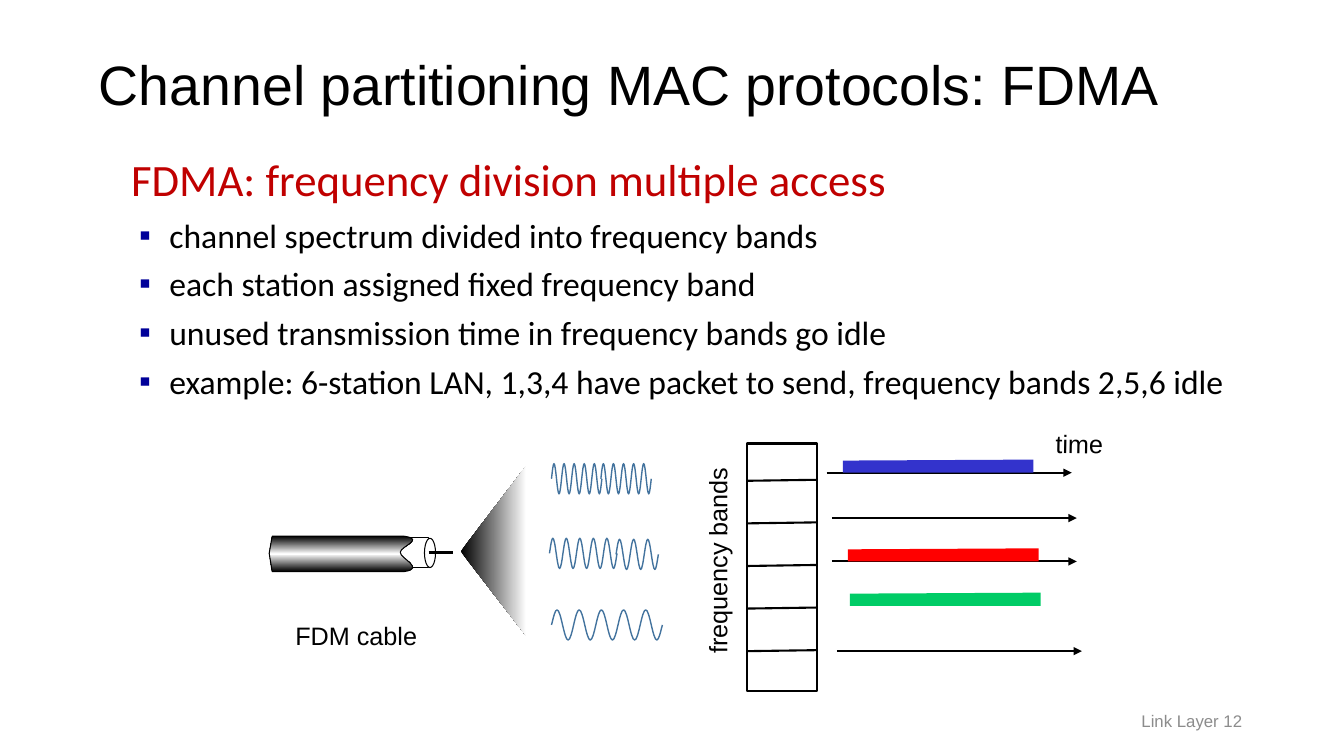
from copy import deepcopy

from lxml import etree
from pptx import Presentation
from pptx import util as u
from pptx.dml.color import RGBColor
from pptx.enum import shapes, text
from pptx.oxml.ns import qn

BLACK, WHITE, WAVE_BLUE, BULLET_BLUE = "000000", "FFFFFF", "43739E", "000099"
POINTS = [
    "channel spectrum divided into frequency bands",
    "each station assigned fixed frequency band",
    "unused transmission time in frequency bands go idle",
    "example: 6-station LAN, 1,3,4 have packet to send, frequency bands 2,5,6 idle",
]


def color(hex_string):
    """Turn a hex string into a colour."""
    return RGBColor.from_string(hex_string)


def place(shape, left, top, width, height):
    """Move and size a shape, in inches."""
    shape.left, shape.top = u.Inches(left), u.Inches(top)
    shape.width, shape.height = u.Inches(width), u.Inches(height)


def write(paragraph, words, size=18, font="Arial", ink=BLACK, align="LEFT", spacing=1.0, before=0):
    """Put formatted text into a paragraph."""
    run = paragraph.add_run()
    run.text = words
    run.font.size, run.font.name = u.Pt(size), font
    run.font.color.rgb = color(ink)
    paragraph.alignment = getattr(text.PP_ALIGN, align)
    paragraph.line_spacing = spacing
    paragraph.space_before = u.Pt(before)


def label(slide, box, words, wrap=False, anchor="TOP", rotation=0, **style):
    """Add a text box."""
    caption = slide.shapes.add_textbox(*map(u.Inches, box))
    caption.rotation = rotation
    frame = caption.text_frame
    frame.word_wrap = wrap
    frame.vertical_anchor = getattr(text.MSO_ANCHOR, anchor)
    write(frame.paragraphs[0], words, **style)


def paint(shape, fill=None, line=None, width=0.75):
    """Set the fill and outline; a list of colours makes a gradient."""
    shape.shadow.inherit = False
    if isinstance(fill, list):
        shape.fill.gradient()
        stops = shape.fill._fill._gradFill.find(qn("a:gsLst"))
        for _ in fill[2:]:
            stops.append(deepcopy(stops[0]))
        for i, (stop, shade) in enumerate(zip(shape.fill.gradient_stops, fill)):
            stop.color.rgb = color(shade)
            stop.position = i / (len(fill) - 1)
    elif fill:
        shape.fill.solid()
        shape.fill.fore_color.rgb = color(fill)
    else:
        shape.fill.background()
    if line:
        shape.line.color.rgb = color(line)
        shape.line.width = u.Pt(width)
    else:
        shape.line.fill.background()


def solid(slide, kind, box, **look):
    """Add a preset shape."""
    shape = slide.shapes.add_shape(getattr(shapes.MSO_SHAPE, kind), *map(u.Inches, box))
    paint(shape, **look)


def outline(slide, start, steps, close=False, angle=0, **look):
    """Draw a freeform; a step is a point, or a list of three points for a Bézier curve."""
    ends = [step[-1] if isinstance(step, list) else step for step in steps]
    builder = slide.shapes.build_freeform(*map(u.Inches, start))
    builder.add_line_segments([tuple(map(u.Inches, end)) for end in ends], close=close)
    shape = builder.convert_to_shape()
    for step, segment in zip(steps, list(shape._element.iter(qn("a:lnTo")))):
        if isinstance(step, list):
            bend = etree.Element(qn("a:cubicBezTo"))
            for x, y in step:
                etree.SubElement(bend, qn("a:pt"), x=str(u.Inches(x) - shape.left),
                                 y=str(u.Inches(y) - shape.top))
            segment.getparent().replace(segment, bend)
    paint(shape, **look)
    if isinstance(look.get("fill"), list):
        shape.fill.gradient_angle = angle


def rule(slide, start, end, width=1.5, arrow=False):
    """Draw a straight black line, with an arrowhead if wanted."""
    line = slide.shapes.add_connector(
        shapes.MSO_CONNECTOR.STRAIGHT, *map(u.Inches, (*start, *end)))
    line.line.color.rgb = color(BLACK)
    line.line.width = u.Pt(width)
    if arrow:
        etree.SubElement(line.line._get_or_add_ln(), qn("a:tailEnd"), type="triangle")
    etree.SubElement(line._element.spPr, qn("a:effectLst"))


def heading(slide, box):
    """Fill the title placeholder."""
    title = slide.shapes.title
    place(title, *box)
    frame = title.text_frame
    frame.auto_size = text.MSO_AUTO_SIZE.NONE
    frame.vertical_anchor = text.MSO_ANCHOR.MIDDLE
    write(frame.paragraphs[0], "Channel partitioning MAC protocols: FDMA", size=39.6, spacing=0.9)


def bullet(paragraph, mark=None, indent=0.38):
    """Set the hanging indent and the bullet mark."""
    props = paragraph._p.get_or_add_pPr()
    props.set("marL", str(u.Inches(0.38)))
    props.set("indent", str(-u.Inches(indent)))
    if mark:
        tint = etree.SubElement(props, qn("a:buClr"))
        etree.SubElement(tint, qn("a:srgbClr"), val=BULLET_BLUE)
        etree.SubElement(props, qn("a:buFont"), typeface="Arial")
        etree.SubElement(props, qn("a:buChar"), char=mark)
    else:
        etree.SubElement(props, qn("a:buNone"))


def explanation(slide, box):
    """Fill the body placeholder with the FDMA points."""
    body = slide.placeholders[1]
    place(body, *box)
    frame = body.text_frame
    frame.auto_size = text.MSO_AUTO_SIZE.NONE
    topic = frame.paragraphs[0]
    bullet(topic)
    write(topic, "FDMA: frequency division multiple access",
          size=32, font="Calibri", ink="C00000", spacing=0.85)
    for point in POINTS:
        paragraph = frame.add_paragraph()
        bullet(paragraph, "▪", 0.3)
        write(paragraph, point, size=24, font="Calibri", before=6)


def cable(slide, x, y):
    """Draw the cable and its spreading beam around the axis at y."""
    solid(slide, "RECTANGLE", (x + 1.29, y - 0.16, 0.29, 0.3), fill=WHITE, line=BLACK)
    corner, notch = (x + 0.03, y - 0.17), (x + 1.3, y - 0.01)
    jacket = [(x, y), (x + 0.03, y + 0.18), (x + 1.34, y + 0.18),
              [(x + 1.55, y + 0.15), (x + 1.3, y + 0.05), notch],
              [(x + 1.3, y - 0.07), (x + 1.55, y - 0.14), (x + 1.34, y - 0.17)], corner]
    outline(slide, corner, jacket, close=True, fill=[BLACK, WHITE, BLACK], angle=90, line=BLACK)
    solid(slide, "OVAL", (x + 1.54, y - 0.15, 0.11, 0.29), fill=WHITE, line=BLACK)
    rule(slide, (x + 1.58, y - 0.01), (x + 1.82, y - 0.01), width=2.25)
    tip = (x + 2.55, y - 0.87)
    outline(slide, tip, [(x + 1.9, y - 0.02), (x + 2.55, y + 0.82), tip],
            close=True, fill=[BLACK, WHITE])
    label(slide, (x + 0.16, y + 0.61, 1.41, 0.4), "FDM cable")


def wave(slide, x, y, width, cycles, height=0.15):
    """Draw a sine wave centred on y, with one curve between neighbouring peaks."""
    half = width / cycles / 2
    ease = 0.36 * half
    peaks = [(x + half * (i + 0.5), y + height * (-1) ** (i + 1)) for i in range(2 * cycles)]
    (first_x, top), (last_x, bottom), end = peaks[0], peaks[-1], x + width
    swings = [[(x + ease / 2, y - height / 2), (first_x - ease / 2, top), peaks[0]]]
    for (ax, ay), (bx, by) in zip(peaks, peaks[1:]):
        swings.append([(ax + ease, ay), (bx - ease, by), (bx, by)])
    swings.append([(last_x + ease / 2, bottom), (end - ease / 2, y + height / 2), (end, y)])
    outline(slide, (x, y), swings, line=WAVE_BLUE, width=1)


def bands(slide, x, y, width, height):
    """Draw the stack of six frequency bands."""
    solid(slide, "RECTANGLE", (x, y, width, height), fill=WHITE, line=BLACK, width=1.5)
    for i in range(5):
        edge = y + 0.37 + 1.69 * i / 4
        rule(slide, (x, edge), (x + width, edge - 0.01))
    label(slide, (x - 1.32, y + 0.96, 2.05, 0.4), "frequency bands", rotation=270)


def timelines(slide, x, y):
    """Draw the time axes and the bars of the sending stations."""
    rows = [(0, 0, True, "3333CC"), (0.05, 0.45, True, None), (0.05, 0.88, True, "FF0000"),
            (0.07, 1.32, False, "00CC66"), (0.1, 1.77, True, None)]
    for shift, drop, axis, tint in rows:
        left, base = x + shift, y + drop
        if axis:
            rule(slide, (left, base), (left + 2.43, base), arrow=True)
        if tint:
            start, end = left + 0.16, left + 2.05
            outline(slide, (start, base),
                    [(start, base - 0.12), (end, base - 0.13), (end, base)], fill=tint)
    label(slide, (x + 2.17, y - 0.49, 0.67, 0.4), "time", rotation=1.1)


def main():
    """Build the slide and save it."""
    deck = Presentation()
    deck.slide_width, deck.slide_height = u.Inches(13.33), u.Inches(7.5)
    slide = deck.slides.add_slide(deck.slide_layouts[1])
    heading(slide, (0.88, 0.38, 11.5, 0.98))
    explanation(slide, (1.2, 1.54, 11.44, 2.62))
    bands(slide, 7.41, 4.4, 0.69, 2.46)
    timelines(slide, 8.2, 4.69)
    cable(slide, 2.67, 5.49)
    for x, y, width, cycles in [(5.47, 6.2, 1.1, 5), (5.47, 4.75, 0.5, 5), (5.96, 4.75, 0.5, 5),
                                (5.45, 5.49, 0.67, 5), (6.11, 5.5, 0.42, 3)]:
        wave(slide, x, y, width, cycles)
    label(slide, (9.42, 6.95, 3, 0.4), "Link Layer 12", wrap=True, anchor="MIDDLE",
          size=12, ink="8C8C8C", align="RIGHT")
    deck.save("out.pptx")


if __name__ == "__main__":
    main()
